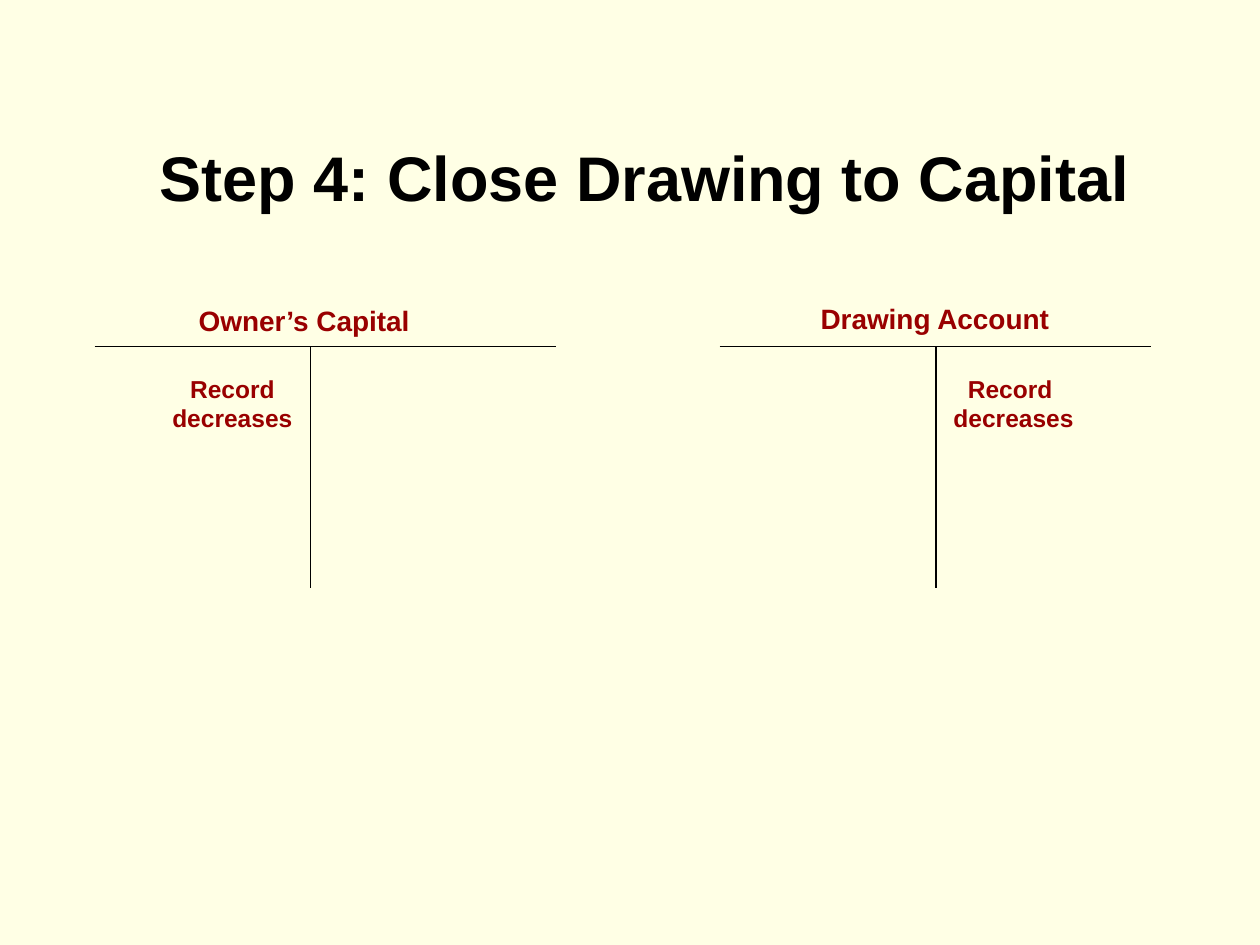
from dataclasses import dataclass

from lxml import etree
from pptx import Presentation
from pptx.dml.color import RGBColor
from pptx.enum import shapes, text
from pptx.oxml import ns
from pptx.util import Pt


@dataclass(frozen=True)
class Theme:
    font: str = "Arial"
    background: RGBColor = RGBColor(0xFF, 0xFF, 0xE5)
    ink: RGBColor = RGBColor(0, 0, 0)
    accent: RGBColor = RGBColor(0x99, 0, 0)
    title_size: int = 36
    account_size: int = 16
    entry_size: int = 14
    line_width: float = 0.75


@dataclass(frozen=True)
class Box:
    left: float
    top: float
    width: float
    height: float


THEME = Theme()
STEM_OFFSET = 123.6


def place(shape, box):
    shape.left, shape.top = Pt(box.left), Pt(box.top)
    shape.width, shape.height = Pt(box.width), Pt(box.height)


def write(frame, lines, size, color, alignment):
    frame.margin_left = frame.margin_right = Pt(7.2)
    frame.margin_top = frame.margin_bottom = Pt(3.6)
    for index, line in enumerate(lines):
        paragraph = frame.paragraphs[0] if index == 0 else frame.add_paragraph()
        paragraph.alignment = alignment
        paragraph.space_before = Pt(0)
        paragraph.line_spacing = 1.0
        run = paragraph.add_run()
        run.text = line
        run.font.name = THEME.font
        run.font.size = Pt(size)
        run.font.bold = True
        run.font.color.rgb = color


def add_title(slide, box, line):
    title = slide.shapes.title
    place(title, box)
    frame = title.text_frame
    frame.word_wrap = True
    frame.auto_size = text.MSO_AUTO_SIZE.NONE
    frame.vertical_anchor = text.MSO_ANCHOR.BOTTOM
    write(frame, [line], THEME.title_size, THEME.ink, text.PP_ALIGN.LEFT)


def add_label(slide, box, lines, size):
    label = slide.shapes.add_textbox(
        Pt(box.left), Pt(box.top), Pt(box.width), Pt(box.height)
    )
    frame = label.text_frame
    frame.word_wrap = False
    frame.auto_size = text.MSO_AUTO_SIZE.SHAPE_TO_FIT_TEXT
    write(frame, lines, size, THEME.accent, text.PP_ALIGN.CENTER)


def add_line(slide, x1, y1, x2, y2):
    line = slide.shapes.add_connector(
        shapes.MSO_CONNECTOR.STRAIGHT, Pt(x1), Pt(y1), Pt(x2), Pt(y2)
    )
    line.line.color.rgb = THEME.ink
    line.line.width = Pt(THEME.line_width)
    properties = line._element.find(ns.qn("p:spPr"))
    etree.SubElement(properties, ns.qn("a:effectLst"))


def add_account(slide, box, name, name_box, entry, entry_left):
    stem = box.left + STEM_OFFSET
    add_line(slide, box.left, box.top, box.left + box.width, box.top)
    add_line(slide, stem, box.top, stem, box.top + box.height)
    heading = Box(
        box.left + name_box.left, box.top + name_box.top,
        name_box.width, name_box.height,
    )
    add_label(slide, heading, [name], THEME.account_size)
    entry_box = Box(box.left + entry_left, box.top + 12.2, 84.4, 41)
    add_label(slide, entry_box, entry, THEME.entry_size)


def main():
    presentation = Presentation()
    presentation.slide_width, presentation.slide_height = Pt(720), Pt(540)
    slide = presentation.slides.add_slide(presentation.slide_layouts[5])
    slide.background.fill.solid()
    slide.background.fill.fore_color.rgb = THEME.background

    add_title(slide, Box(84.2, 75.6, 617.8, 50.4), "Step 4: Close Drawing to Capital")
    add_account(
        slide, Box(54, 198, 264, 138), "Owner’s Capital ",
        Box(51.6, -28, 141, 26.6), ["Record", "decreases"], 36.6,
    )
    add_account(
        slide, Box(411.2, 198, 246.4, 138), "Drawing Account",
        Box(50.3, -29, 145.4, 26.6), ["Record ", "decreases"], 125.8,
    )
    presentation.save("out.pptx")


if __name__ == "__main__":
    main()
